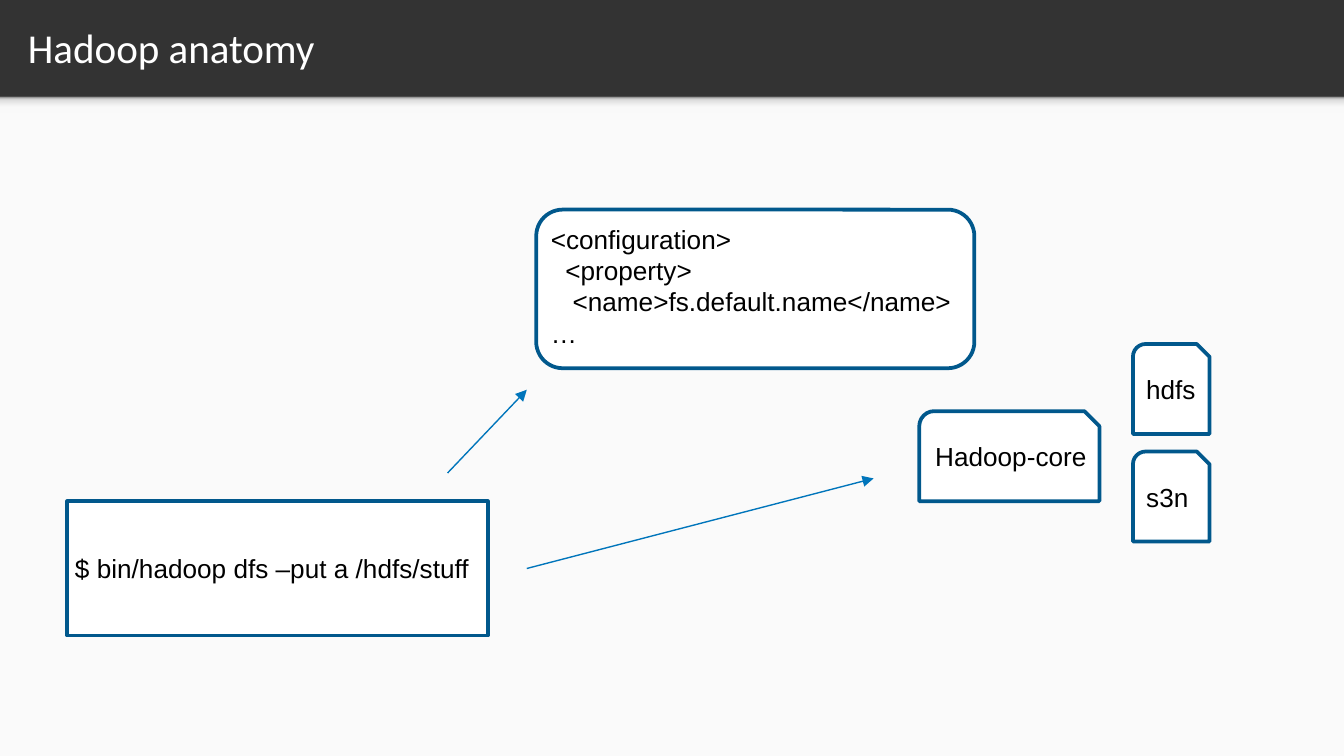
from lxml import etree
from pptx import Presentation
from pptx import util as u
from pptx.dml.color import RGBColor
from pptx.enum import shapes, text
from pptx.oxml import parse_xml
from pptx.oxml.ns import nsdecls, qn

SHAPE = shapes.MSO_SHAPE
PAGE_WIDTH = 10
PAGE_HEIGHT = PAGE_WIDTH * 9 / 16
BAR_HEIGHT = 0.72
BLACK, WHITE, PAPER, BAR = "000000", "FFFFFF", "FAFAFA", "333333"
OUTLINE, ARROW = "01588C", "0075BB"
SHADOW_STOPS = [(0, "F9F9F9"), (36, "F9F9F9"), (80, "DEDEDE"), (100, "999999")]


def colour(value):
    return RGBColor.from_string(value)


def inches(values):
    return [u.Inches(value) for value in values]


def add_panel(page, kind, box, fill, line=None):
    panel = page.shapes.add_shape(kind, *inches(box))
    panel.shadow.inherit = False
    panel.fill.solid()
    panel.fill.fore_color.rgb = colour(fill)
    if line:
        panel.line.color.rgb = colour(line)
        panel.line.width = u.Pt(2)
    else:
        panel.line.fill.background()
    return panel


def add_text(page, box, words, frame_format, font="Arial", size=14, ink=BLACK):
    frame = page.shapes.add_textbox(*inches(box)).text_frame
    for name, value in frame_format.items():
        setattr(frame, name, value)
    para = frame.paragraphs[0]
    para.text = words
    for span in para.runs:
        for name, value in {"name": font, "size": u.Pt(size)}.items():
            setattr(span.font, name, value)
        span.font.color.rgb = colour(ink)


def add_backdrop(page, box):
    """Dark title bar, light body below it and a soft shadow between them."""
    left, top, width, height = box
    page.background.fill.solid()
    page.background.fill.fore_color.rgb = colour(BAR)
    add_panel(page, SHAPE.RECTANGLE, box, PAPER)
    shadow = add_panel(page, SHAPE.RECTANGLE, (left, top, width, 0.12), PAPER)
    stops = "".join(
        f'<a:gs pos="{position * 1000}"><a:srgbClr val="{value}"/></a:gs>'
        for position, value in SHADOW_STOPS
    )
    gradient = parse_xml(
        f'<a:gradFill {nsdecls("a")}><a:gsLst>{stops}</a:gsLst>'
        '<a:lin ang="16200000" scaled="0"/></a:gradFill>'
    )
    properties = shadow.element.spPr
    properties.replace(properties.find(qn("a:solidFill")), gradient)


def add_title(page, box, words):
    frame_format = {"word_wrap": True, "vertical_anchor": text.MSO_ANCHOR.MIDDLE}
    for side in ("left", "right", "top", "bottom"):
        frame_format[f"margin_{side}"] = u.Inches(0.1)
    add_text(page, box, words, frame_format, "Calibri", 22, WHITE)


def add_node(page, kind, box, words, label, wrap=False):
    """Outlined node; label is its text box, offset from the node's corner."""
    left, top = box[:2]
    shift_x, shift_y, width, height = label
    add_panel(page, kind, box, WHITE, OUTLINE)
    frame_format = {"word_wrap": wrap,
                    "auto_size": text.MSO_AUTO_SIZE.SHAPE_TO_FIT_TEXT}
    add_text(page, (left + shift_x, top + shift_y, width, height),
             words, frame_format)


def add_arrow(page, start, end):
    arrow = page.shapes.add_connector(
        shapes.MSO_CONNECTOR.STRAIGHT, *inches(start + end))
    arrow.line.color.rgb = colour(ARROW)
    arrow.line.width = u.Pt(0.75)
    properties = arrow.element.spPr
    etree.SubElement(properties.find(qn("a:ln")), qn("a:tailEnd"), type="triangle")
    etree.SubElement(properties, qn("a:effectLst"))


def add_modules(page, left, top):
    """Core module with its two file systems stacked to the right."""
    height, label_top, label_height = 0.67, 0.17, 0.34
    modules_shown = [
        ("Hadoop-core", 0, 0.5, 1.34, 0.02, 1.33),
        ("hdfs", 1.59, 0, 0.57, 0, 0.57),
        ("s3n", 1.59, 0.8, 0.57, 0, 0.52),
    ]
    for words, x, y, width, shift, label_width in modules_shown:
        add_node(page, SHAPE.SNIP_ROUND_RECTANGLE,
                 (left + x, top + y, width, height), words,
                 (shift, label_top, label_width, label_height))


def main():
    deck = Presentation()
    deck.slide_width, deck.slide_height = inches((PAGE_WIDTH, PAGE_HEIGHT))
    page = deck.slides.add_slide(deck.slide_layouts[6])
    add_backdrop(page, (0, BAR_HEIGHT, PAGE_WIDTH, PAGE_HEIGHT - BAR_HEIGHT))
    add_title(page, (0.11, 0.02, 9.65, 0.66), "Hadoop anatomy")
    configuration = "\v".join([
        "<configuration>",
        "  <property>",
        "   <name>fs.default.name</name>",
        "…",
    ])
    add_node(page, SHAPE.ROUNDED_RECTANGLE, (3.99, 1.56, 3.26, 1.18),
             configuration, (0.01, 0.05, 3.83, 1.04), wrap=True)
    add_modules(page, 6.84, 2.56)
    add_node(page, SHAPE.RECTANGLE, (0.5, 3.73, 3.13, 1),
             "$ bin/hadoop dfs –put a /hdfs/stuff",
             (-0.04, 0.33, 3.17, 0.34), wrap=True)
    add_arrow(page, (3.33, 3.52), (3.92, 2.9))
    add_arrow(page, (3.92, 4.23), (6.5, 3.56))
    deck.save("out.pptx")


if __name__ == "__main__":
    main()
